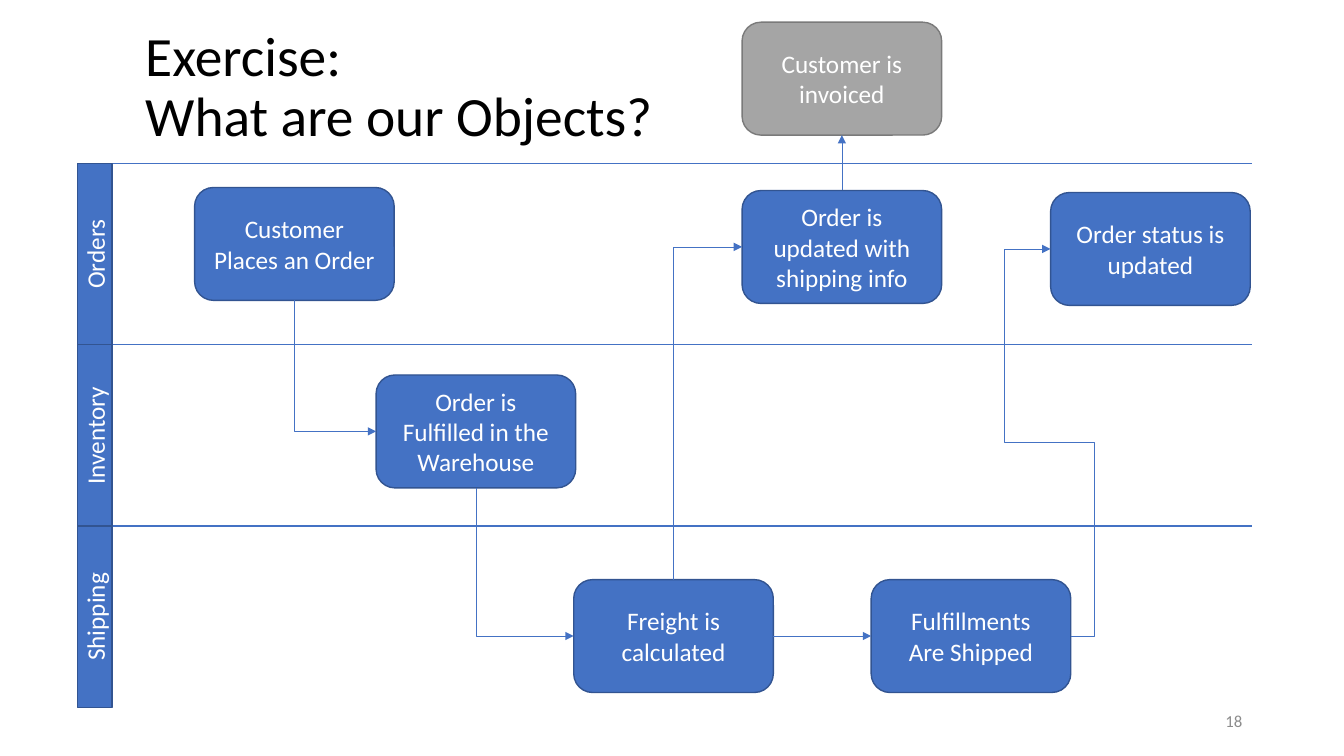
from lxml import etree
from pptx import Presentation
from pptx.dml.color import RGBColor
from pptx.enum.shapes import MSO_CONNECTOR as Link, MSO_SHAPE as Shape
from pptx.enum.text import MSO_ANCHOR as Anchor, MSO_AUTO_SIZE as Fit, PP_ALIGN as Align
from pptx.oxml.ns import qn
from pptx.util import Inches, Pt

HUES = {
    "blue": "4472C4", "edge": "325491", "gray": "A5A5A5", "rim": "7A7A7A",
    "white": "FFFFFF", "black": "000000", "note": "8C8C8C",
}
TOP, LEFT, BOTTOM, RIGHT = range(4)
STEP_W, STEP_H = 1.98, 1.12
STEPS = {
    "place": (1.93, 1.86, ["Customer", "Places an Order"]),
    "fill": (3.73, 3.72, ["Order is", "Fulfilled in the Warehouse"]),
    "freight": (5.69, 5.75, ["Freight is calculated"]),
    "bill": (7.36, 0.22, ["Customer is invoiced"]),
    "info": (7.36, 1.89, ["Order is updated with shipping info"]),
    "ship": (8.64, 5.75, ["Fulfillments", "Are Shipped"]),
    "status": (10.42, 1.91, ["Order status is updated"]),
}
FLOWS = [
    ("place", BOTTOM, "fill", LEFT, "bend"),
    ("fill", BOTTOM, "freight", LEFT, "bend"),
    ("freight", TOP, "info", LEFT, "bend"),
    ("info", TOP, "bill", BOTTOM, "line"),
    ("freight", RIGHT, "ship", LEFT, "line"),
    ("ship", RIGHT, "status", LEFT, "loop"),
]


def paint(hue):
    return RGBColor.from_string(HUES[hue])


def add_run(para, text, size, hue):
    run = para.add_run()
    run.text = text
    run.font.name = "Calibri"
    run.font.size = Pt(size)
    run.font.color.rgb = paint(hue)


def add_block(slide, kind, box, lines, fill="blue", edge="edge"):
    shape = slide.shapes.add_shape(kind, *map(Inches, box))
    shape.shadow.inherit = False
    shape.fill.solid()
    shape.fill.fore_color.rgb = paint(fill)
    shape.line.color.rgb = paint(edge)
    shape.line.width = Pt(1)
    frame = shape.text_frame
    frame.word_wrap = True
    frame.vertical_anchor = Anchor.MIDDLE
    for i, text in enumerate(lines):
        para = frame.add_paragraph() if i else frame.paragraphs[0]
        para.alignment = Align.CENTER
        add_run(para, text, 18, "white")
    return shape


def add_line(slide, ends, width):
    line = slide.shapes.add_connector(Link.STRAIGHT, *map(Inches, ends))
    line.line.color.rgb = paint("blue")
    line.line.width = Pt(width)
    etree.SubElement(line._element.spPr, qn("a:effectLst"))
    return line


def bend_line(line):
    x1, y1, x2, y2 = line.begin_x, line.begin_y, line.end_x, line.end_y
    wide, high = abs(y2 - y1), abs(x2 - x1)
    line.left, line.top = (x1 + x2 - wide) // 2, (y1 + y2 - high) // 2
    line.width, line.height = wide, high
    props = line._element.spPr
    form = props.find(qn("a:xfrm"))
    down = y2 > y1
    form.set("rot", str((270 if down else 90) * 60000))
    form.set("flipH", "1")
    form.set("flipV", "0" if down else "1")
    props.find(qn("a:prstGeom")).set("prst", "bentConnector2")


def loop_line(line):
    geom = line._element.spPr.find(qn("a:prstGeom"))
    geom.set("prst", "bentConnector5")
    guides = geom.get_or_add_avLst()
    for i, value in enumerate((-118700, 50000, 330000), 1):
        etree.SubElement(guides, qn("a:gd"), name=f"adj{i}", fmla=f"val {value}")


def add_flow(slide, start, out, end, into, style):
    line = add_line(slide, (0, 0, 0, 0), 0.5)
    line.begin_connect(start, out)
    line.end_connect(end, into)
    etree.SubElement(line.line._get_or_add_ln(), qn("a:tailEnd"), type="triangle")
    if style == "bend":
        bend_line(line)
    elif style == "loop":
        loop_line(line)


def add_title(slide, box):
    title = slide.shapes.title
    title.left, title.top, title.width, title.height = map(Inches, box)
    frame = title.text_frame
    frame.auto_size = Fit.NONE
    frame.word_wrap = True
    frame.vertical_anchor = Anchor.MIDDLE
    para = frame.paragraphs[0]
    para.alignment = Align.LEFT
    para.line_spacing = 0.9
    add_run(para, "Exercise: ", 39.6, "black")
    para.add_line_break()
    add_run(para, "What are our Objects?", 39.6, "black")


def add_lanes(slide, box, names):
    left, top, width, height = box
    lane, tab = height / len(names), 0.34
    for i in range(len(names)):
        y = top + i * lane
        add_line(slide, (left, y, left + width, y), 1)
    for i, name in enumerate(names):
        mid = top + (i + 0.5) * lane
        place = (left + (tab - lane) / 2, mid - tab / 2, lane, tab)
        add_block(slide, Shape.RECTANGLE, place, [name]).rotation = 270


def add_steps(slide):
    cards = {}
    for key, (x, y, lines) in STEPS.items():
        hues = ("gray", "rim") if key == "bill" else ("blue", "edge")
        box = (x, y, STEP_W, STEP_H)
        cards[key] = add_block(slide, Shape.FLOWCHART_ALTERNATE_PROCESS, box, lines, *hues)
    for start, out, end, into, style in FLOWS:
        add_flow(slide, cards[start], out, cards[end], into, style)


def add_number(slide, box):
    frame = slide.shapes.add_textbox(*map(Inches, box)).text_frame
    frame.word_wrap = True
    frame.vertical_anchor = Anchor.MIDDLE
    para = frame.paragraphs[0]
    para.alignment = Align.RIGHT
    add_run(para, "18", 12, "note")


def main():
    deck = Presentation()
    deck.slide_width, deck.slide_height = Inches(13.33), Inches(7.5)
    slide = deck.slides.add_slide(deck.slide_layouts[5])
    add_title(slide, (1.34, 0.47, 10.93, 0.82))
    add_lanes(slide, (0.77, 1.62, 11.65, 5.4), ["Orders", "Inventory", "Shipping"])
    add_steps(slide)
    add_number(slide, (9.42, 6.95, 3, 0.4))
    deck.save("out.pptx")


if __name__ == "__main__":
    main()
